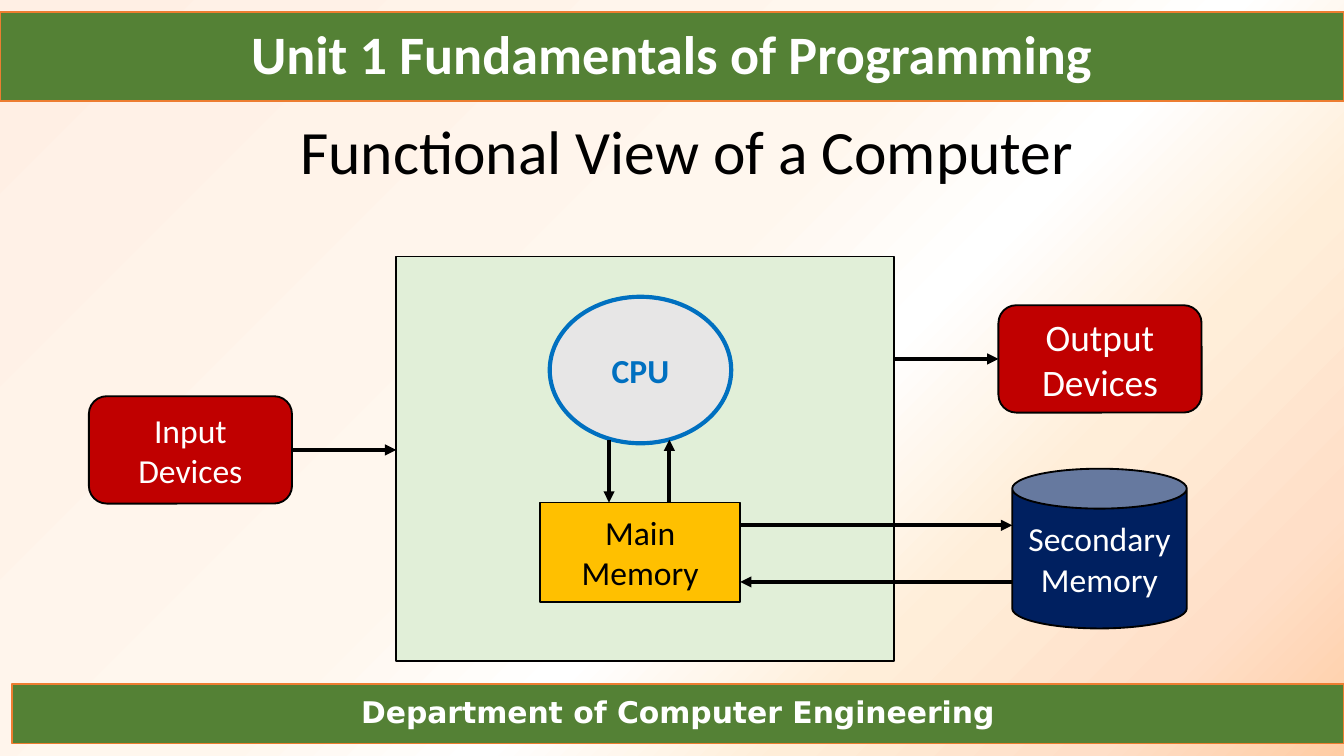
from lxml import etree
from pptx import Presentation
from pptx.dml.color import RGBColor
from pptx.enum.shapes import MSO_CONNECTOR, MSO_SHAPE
from pptx.enum.text import MSO_ANCHOR, PP_ALIGN
from pptx.oxml.ns import qn
from pptx.util import Cm, Pt

RECTANGLE = MSO_SHAPE.RECTANGLE
ROUNDED = MSO_SHAPE.ROUNDED_RECTANGLE
OVAL = MSO_SHAPE.OVAL
CAN = MSO_SHAPE.CAN
STRAIGHT = MSO_CONNECTOR.STRAIGHT
MIDDLE = MSO_ANCHOR.MIDDLE
CENTER = PP_ALIGN.CENTER

WHITE = RGBColor(0xFF, 0xFF, 0xFF)
BLACK = RGBColor(0x00, 0x00, 0x00)
GREEN = RGBColor(0x54, 0x81, 0x35)
ORANGE = RGBColor(0xED, 0x7D, 0x31)
RED = RGBColor(0xC0, 0x00, 0x00)
PALE_GREEN = RGBColor(0xE1, 0xEF, 0xD8)
GREY = RGBColor(0xE7, 0xE6, 0xE6)
BLUE = RGBColor(0x00, 0x70, 0xC0)
AMBER = RGBColor(0xFF, 0xC0, 0x00)
NAVY = RGBColor(0x00, 0x20, 0x60)

BACKGROUND_STOPS = [
    (0, RGBColor(0xFF, 0xCD, 0xA5), 100),
    (12, RGBColor(0xFF, 0xDF, 0xC8), 100),
    (27, RGBColor(0xFF, 0xEE, 0xD9), 100),
    (41, WHITE, 89),
    (54, RGBColor(0xFF, 0xF7, 0xEE), 100),
    (100, RGBColor(0xFF, 0xEF, 0xE4), 100),
]

LEFT_SIDE, RIGHT_SIDE = 1, 3


def paint_background(slide):
    """Fill the slide with the diagonal peach gradient."""
    fill = slide.background.fill
    fill.gradient()
    fill.gradient_angle = 135
    stop_list = slide.element.find(".//" + qn("a:gsLst"))
    for stop in list(stop_list):
        stop_list.remove(stop)
    for position, color, opacity in BACKGROUND_STOPS:
        stop = etree.SubElement(stop_list, qn("a:gs"), pos=str(position * 1000))
        value = etree.SubElement(stop, qn("a:srgbClr"), val=str(color))
        if opacity < 100:
            etree.SubElement(value, qn("a:alpha"), val=str(opacity * 1000))


def write_text(shape, text, color, spacing=None, **font_format):
    """Write one centred paragraph with the given font values."""
    frame = shape.text_frame
    frame.word_wrap = True
    frame.vertical_anchor = MIDDLE
    paragraph = frame.paragraphs[0]
    paragraph.alignment = CENTER
    paragraph.line_spacing = spacing
    run = paragraph.add_run()
    run.text = text
    run.font.color.rgb = color
    for name, value in {"name": "Calibri", "size": Pt(18), **font_format}.items():
        setattr(run.font, name, value)


def add_block(slide, kind, box, fill, outline=BLACK, weight=1):
    """Add a filled and outlined shape in a box given in centimetres."""
    shape = slide.shapes.add_shape(kind, *map(Cm, box))
    shape.shadow.inherit = False
    shape.fill.solid()
    shape.fill.fore_color.rgb = fill
    shape.line.color.rgb = outline
    shape.line.width = Pt(weight)
    return shape


def add_arrow(slide, start, end):
    """Add a black arrow between two points given in centimetres."""
    arrow = slide.shapes.add_connector(STRAIGHT, *map(Cm, (*start, *end)))
    arrow.line.color.rgb = BLACK
    arrow.line.width = Pt(2)
    properties = arrow.element.spPr
    etree.SubElement(arrow.line._get_or_add_ln(), qn("a:tailEnd"), type="triangle")
    etree.SubElement(properties, qn("a:effectLst"))
    return arrow


def add_banner(slide, box, text, **font_format):
    """Add a green band with bold white text."""
    banner = add_block(slide, RECTANGLE, box, GREEN, ORANGE, 0.75)
    write_text(banner, text, WHITE, spacing=0.9, bold=True, **font_format)


def add_title(slide, box, text):
    """Add the slide title."""
    title = slide.shapes.add_textbox(*map(Cm, box))
    write_text(title, text, BLACK, spacing=0.9, size=Pt(33))


def add_computer_diagram(slide, box):
    """Draw the computer, its devices and the data flow inside the box."""
    left, top, width, height = box
    device_width, device_height = 3.84, 2.03
    gap = 1.97
    right = left + width
    system_left = left + device_width + gap
    system_right = right - device_width - 1.98
    memory_left, memory_top, memory_width = left + 8.53, top + 4.65, 3.78
    storage_left = left + 17.45
    input_top, output_top = top + 2.64, top + 0.92

    input_box = (left, input_top, device_width, device_height)
    input_devices = add_block(slide, ROUNDED, input_box, RED)
    write_text(input_devices, "Input Devices", WHITE)

    system_box = (system_left, top, system_right - system_left, height)
    add_block(slide, RECTANGLE, system_box, PALE_GREEN)

    cpu = add_block(slide, OVAL, (left + 8.71, top + 0.76, 3.43, 2.77), GREY, BLUE, 2.25)
    write_text(cpu, "CPU", BLUE, bold=True)

    memory_box = (memory_left, memory_top, memory_width, 1.88)
    memory = add_block(slide, RECTANGLE, memory_box, AMBER)
    write_text(memory, "Main Memory", BLACK)

    output_box = (right - device_width, output_top, device_width, device_height)
    output_devices = add_block(slide, ROUNDED, output_box, RED)
    write_text(output_devices, "Output Devices", WHITE, size=Pt(20))

    storage = add_block(slide, CAN, (storage_left, top + 4.01, 3.3, 3.02), NAVY)
    write_text(storage, "Secondary Memory", WHITE)

    cpu_edge = top + 3.46
    down_x, up_x = left + 9.83, left + 10.97
    add_arrow(slide, (down_x, cpu_edge), (down_x, memory_top))
    add_arrow(slide, (up_x, memory_top), (up_x, cpu_edge))

    input_y = input_top + device_height / 2
    input_arrow = add_arrow(slide, (left + device_width, input_y), (system_left, input_y))
    input_arrow.begin_connect(input_devices, RIGHT_SIDE)

    output_y = output_top + device_height / 2
    output_arrow = add_arrow(
        slide, (system_right, output_y), (right - device_width, output_y)
    )
    output_arrow.end_connect(output_devices, LEFT_SIDE)

    memory_right = memory_left + memory_width
    store_y, load_y = top + 5.08, top + 6.15
    add_arrow(slide, (memory_right, store_y), (storage_left, store_y))
    add_arrow(slide, (storage_left, load_y), (memory_right, load_y))


def main():
    """Build the slide and save it."""
    presentation = Presentation()
    presentation.slide_width = Cm(25.4)
    presentation.slide_height = Cm(14.29)
    slide = presentation.slides.add_slide(presentation.slide_layouts[6])
    paint_background(slide)
    add_banner(
        slide, (0, 0.23, 25.4, 1.68), "Unit 1 Fundamentals of Programming", size=Pt(29)
    )
    add_banner(
        slide,
        (0.23, 12.93, 25.17, 1.12),
        "Department of Computer Engineering",
        name="DejaVu Sans",
        size=Pt(16),
    )
    add_title(slide, (1.37, 1.75, 23.22, 2.36), "Functional View of a Computer")
    add_computer_diagram(slide, (1.68, 4.85, 21.03, 7.65))
    presentation.save("out.pptx")


if __name__ == "__main__":
    main()
